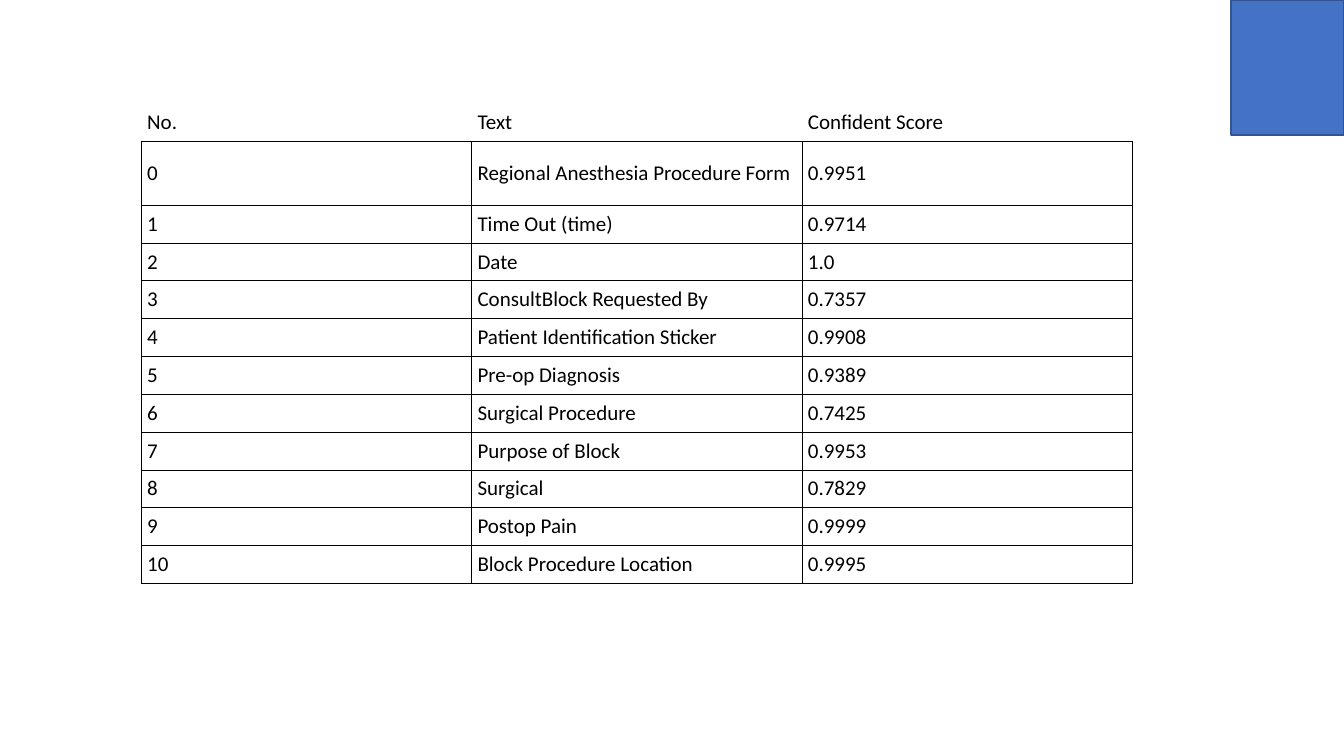
from lxml.etree import SubElement
from pptx import Presentation
from pptx.dml.color import RGBColor
from pptx.enum.shapes import MSO_SHAPE as Preset
from pptx.enum.text import MSO_ANCHOR as Anchor
from pptx.oxml.ns import qn
from pptx.util import Inches, Pt

COLORS = {"accent": "4472C4", "accent_edge": "325491", "ink": "000000", "paper": "FFFFFF"}
HEADINGS = ("No.", "Text", "Confident Score")
DETECTIONS = [
    ("Regional Anesthesia Procedure Form", "0.9951"),
    ("Time Out (time)", "0.9714"),
    ("Date", "1.0"),
    ("ConsultBlock Requested By", "0.7357"),
    ("Patient Identification Sticker", "0.9908"),
    ("Pre-op Diagnosis", "0.9389"),
    ("Surgical Procedure", "0.7425"),
    ("Purpose of Block", "0.9953"),
    ("Surgical", "0.7829"),
    ("Postop Pain", "0.9999"),
    ("Block Procedure Location", "0.9995"),
]
TITLE_ROW, TITLE_ROW_HEIGHT = 1, 0.63


def rgb(name):
    return RGBColor.from_string(COLORS[name])


def add_corner_block(slide, left, top, width, height):
    block = slide.shapes.add_shape(
        Preset.FLOWCHART_PROCESS, Inches(left), Inches(top), Inches(width), Inches(height))
    block.shadow.inherit = False
    block.fill.solid()
    block.fill.fore_color.rgb = rgb("accent")
    block.line.color.rgb = rgb("accent_edge")
    block.line.width = Pt(1)


def set_borders(cell, ruled_sides):
    """Rule the given sides of a cell and clear the others."""
    properties = cell._tc.get_or_add_tcPr()
    for side in "LRTB":
        edge = SubElement(properties, qn(f"a:ln{side}"), w=str(Pt(0.5)))
        if side in ruled_sides:
            fill = SubElement(edge, qn("a:solidFill"))
            SubElement(fill, qn("a:srgbClr"), val=COLORS["ink"])
        else:
            SubElement(edge, qn("a:noFill"))


def fill_cell(cell, text, ruled_sides):
    set_borders(cell, ruled_sides)
    cell.fill.solid()
    cell.fill.fore_color.rgb = rgb("paper")
    cell.vertical_anchor = Anchor.MIDDLE
    cell.margin_left = cell.margin_right = Inches(0.06)
    cell.margin_top = cell.margin_bottom = Inches(0.06)
    cell.text = text
    font = cell.text_frame.paragraphs[0].font
    font.name, font.size, font.color.rgb = "Calibri", Pt(15), rgb("ink")


def add_score_table(slide, left, top, width, height):
    entries = [HEADINGS] + [(str(number), *found) for number, found in enumerate(DETECTIONS)]
    scores = slide.shapes.add_table(
        len(entries), len(HEADINGS),
        Inches(left), Inches(top), Inches(width), Inches(height)).table
    scores.first_row = scores.horz_banding = False

    # The form title has a taller row; the others share the rest evenly
    row_height = (height - TITLE_ROW_HEIGHT) / (len(entries) - 1)
    for index, entry in enumerate(entries):
        scores.rows[index].height = Inches(
            TITLE_ROW_HEIGHT if index == TITLE_ROW else row_height)
        for column, text in enumerate(entry):
            fill_cell(scores.cell(index, column), text, "LRTB" if index else "B")


def main():
    deck = Presentation()
    deck.slide_width, deck.slide_height = Inches(13.33), Inches(7.5)
    slide = deck.slides.add_slide(deck.slide_layouts[6])

    # Corner decoration
    add_corner_block(slide, 12.21, 0, 1.12, 1.34)
    # Recognised text with its scores
    add_score_table(slide, 1.4, 1.03, 9.83, 4.76)

    deck.save("out.pptx")


if __name__ == "__main__":
    main()
